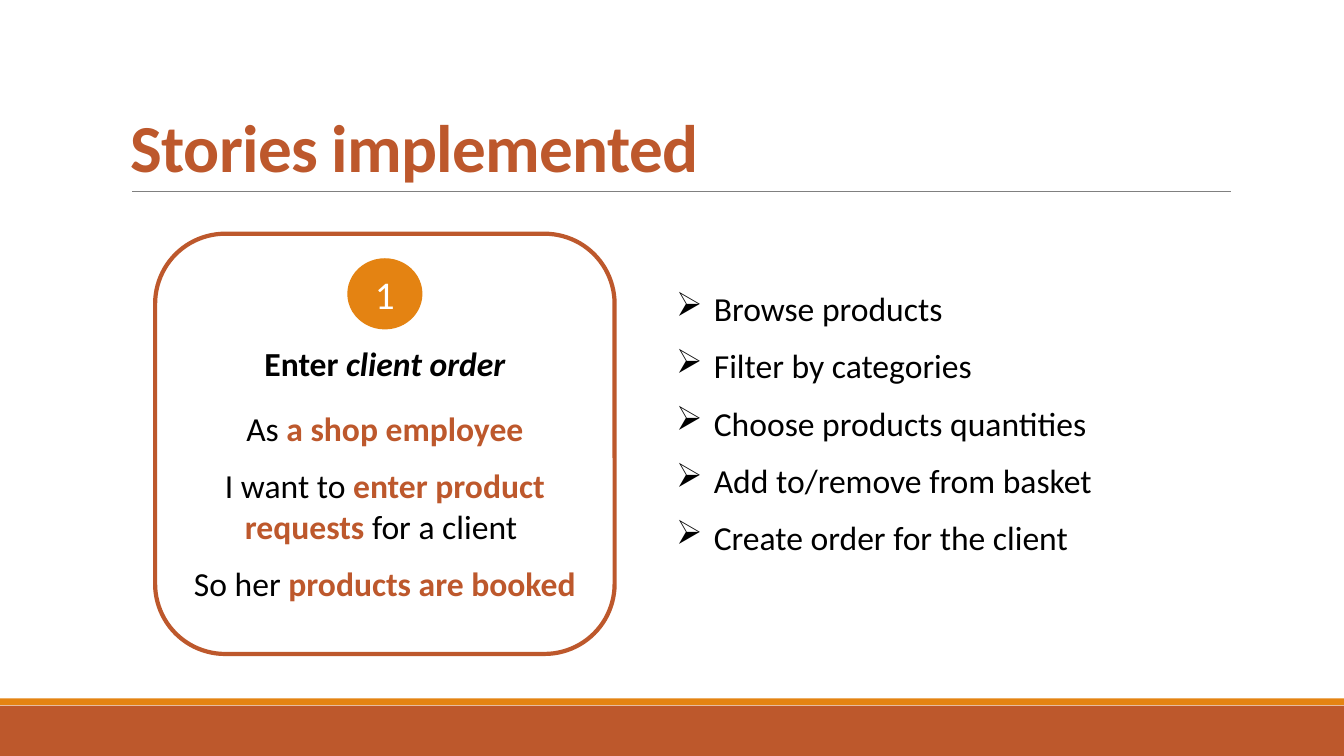
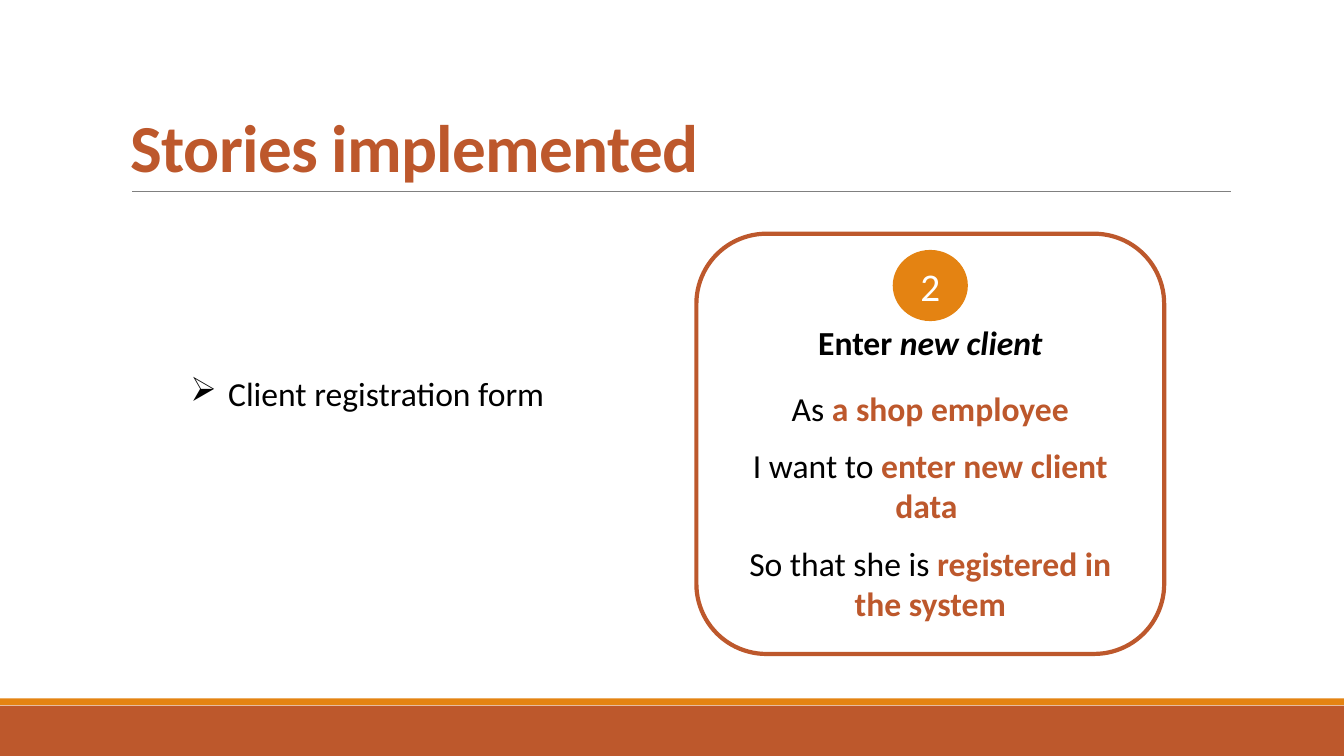
"""Builds two slides that pair a user story card with its implemented features."""
from dataclasses import dataclass

from lxml.etree import SubElement
from pptx import Presentation
from pptx.dml.color import RGBColor as Rgb
from pptx.enum.shapes import MSO_CONNECTOR as Connector, MSO_SHAPE as Shape
from pptx.enum.text import MSO_ANCHOR as Anchor, PP_ALIGN as Align
from pptx.oxml.ns import qn
from pptx.util import Cm, Pt


@dataclass(frozen=True)
class Theme:
    """Colours, type sizes and font of the deck."""
    rust: Rgb = Rgb(0xBD, 0x58, 0x2C)
    orange: Rgb = Rgb(0xE4, 0x83, 0x12)
    grey: Rgb = Rgb(0x80, 0x80, 0x80)
    black: Rgb = Rgb(0, 0, 0)
    white: Rgb = Rgb(0xFF, 0xFF, 0xFF)
    font: str = "Calibri"
    title: int = 48
    badge: int = 28
    body: int = 24


class Deck:
    """Draws styled elements on the current slide."""

    def __init__(self, theme):
        """Open an empty widescreen presentation."""
        self.theme = theme
        self.show = Presentation()
        self.show.slide_width, self.show.slide_height = Cm(33.87), Cm(19.05)
        self.slide = None

    def new_slide(self, heading):
        """Add a slide with the shared bands, rule and title."""
        self.slide = self.show.slides.add_slide(self.show.slide_layouts[6])
        self.block(Shape.RECTANGLE, (0, 17.78, 33.87, 1.27), self.theme.rust)
        self.block(Shape.RECTANGLE, (0, 17.6, 33.87, 0.17), self.theme.orange)
        self.rule(3.33, 31.01, 4.83)
        self.title(heading)

    def block(self, kind, box, fill, edge=None, weight=0):
        """Add a preset shape with a flat fill and an optional outline."""
        shape = self.slide.shapes.add_shape(kind, *map(Cm, box))
        shape.shadow.inherit = False
        shape.fill.solid()
        shape.fill.fore_color.rgb = fill
        if edge is None:
            shape.line.fill.background()
        else:
            shape.line.color.rgb = edge
            shape.line.width = Pt(weight)
        return shape

    def rule(self, left, right, y):
        """Add the thin line below the title."""
        line = self.slide.shapes.add_connector(
            Connector.STRAIGHT, Cm(left), Cm(y), Cm(right), Cm(y))
        line.line.color.rgb = self.theme.grey
        line.line.width = Pt(0.5)
        SubElement(line._element.spPr, qn("a:effectLst"))

    def text_frame(self, box):
        """Add a wrapping text box and return its frame."""
        frame = self.slide.shapes.add_textbox(*map(Cm, box)).text_frame
        frame.word_wrap = True
        return frame

    def paragraph(self, frame, index, align=Align.LEFT, after=0):
        """Return a new paragraph, using the frame's first one at index 0."""
        paragraph = frame.add_paragraph() if index else frame.paragraphs[0]
        paragraph.alignment = align
        paragraph.space_after = Pt(after)
        return paragraph

    def run(self, paragraph, words, size, color, bold=False, italic=False):
        """Add one styled run to a paragraph."""
        run = paragraph.add_run()
        run.text = words
        run.font.name, run.font.size = self.theme.font, Pt(size)
        run.font.color.rgb = color
        run.font.bold, run.font.italic = bold, italic
        return run

    def title(self, heading):
        """Add the slide title, resting on the rule."""
        frame = self.text_frame((3.05, 0.79, 27.94, 4.04))
        frame.vertical_anchor = Anchor.BOTTOM
        paragraph = self.paragraph(frame, 0)
        paragraph.line_spacing = 0.85
        run = self.run(paragraph, heading, self.theme.title, self.theme.rust, bold=True)
        run.font._element.set("spc", "-50")

    def features(self, box, items):
        """Add an arrow-bulleted list."""
        frame = self.text_frame(box)
        for index, item in enumerate(items):
            paragraph = self.paragraph(frame, index, after=12)
            props = paragraph._p.get_or_add_pPr()
            props.set("marL", str(Cm(0.95)))
            props.set("indent", str(-Cm(0.95)))
            SubElement(props, qn("a:buChar")).set("char", "➢")
            self.run(paragraph, item, self.theme.body, self.theme.black)

    def story(self, left, width, number, badge_top, subject, clauses):
        """Add a story card: numbered badge, name, then clauses with a stressed part."""
        theme = self.theme
        card = self.block(Shape.ROUNDED_RECTANGLE, (left, 5.89, width, 10.59),
                          theme.white, theme.rust, 3)
        frame = card.text_frame
        frame.word_wrap = True
        frame.vertical_anchor = Anchor.MIDDLE
        frame.margin_top = Cm(1.58)
        name = self.paragraph(frame, 0, Align.CENTER, 18)
        self.run(name, "Enter ", theme.body, theme.black, bold=True)
        self.run(name, subject, theme.body, theme.black, bold=True, italic=True)
        for index, (lead, stressed, *rest) in enumerate(clauses, 1):
            clause = self.paragraph(frame, index, Align.CENTER, 12)
            self.run(clause, lead, theme.body, theme.black)
            self.run(clause, stressed, theme.body, theme.rust, bold=True)
            for words in rest:
                self.run(clause, words, theme.body, theme.black)
        self.badge(left + width / 2, badge_top, number)

    def badge(self, center, top, number):
        """Add a numbered disc centred on a given x."""
        width = 1.85
        disc = self.block(Shape.OVAL, (center - width / 2, top, width, 1.75),
                          self.theme.orange, self.theme.orange, 1.25)
        disc.text_frame.vertical_anchor = Anchor.MIDDLE
        digit = self.paragraph(disc.text_frame, 0, Align.CENTER)
        self.run(digit, str(number), self.theme.badge, self.theme.white)


HEADING = "Stories implemented"
ROLE = ("As ", "a shop employee")

deck = Deck(Theme())

deck.new_slide(HEADING)
deck.features((16.79, 7.14, 13.92, 7.09), [
    "Browse products",
    "Filter by categories",
    "Choose products quantities",
    "Add to/remove from basket",
    "Create order for the client",
])
deck.story(3.91, 11.58, 1, 6.53, "client order", [
    ROLE,
    ("I want to ", "enter product requests ", "for a client "),
    ("So her ", "products are booked"),
])

deck.new_slide(HEADING)
deck.features((4.55, 9.28, 10.52, 1.27), ["Client registration form"])
deck.story(17.55, 11.79, 2, 6.32, "new client", [
    ROLE,
    ("I want to ", "enter new client data "),
    ("So that she is ", "registered in the system"),
])

deck.show.save("out.pptx")
